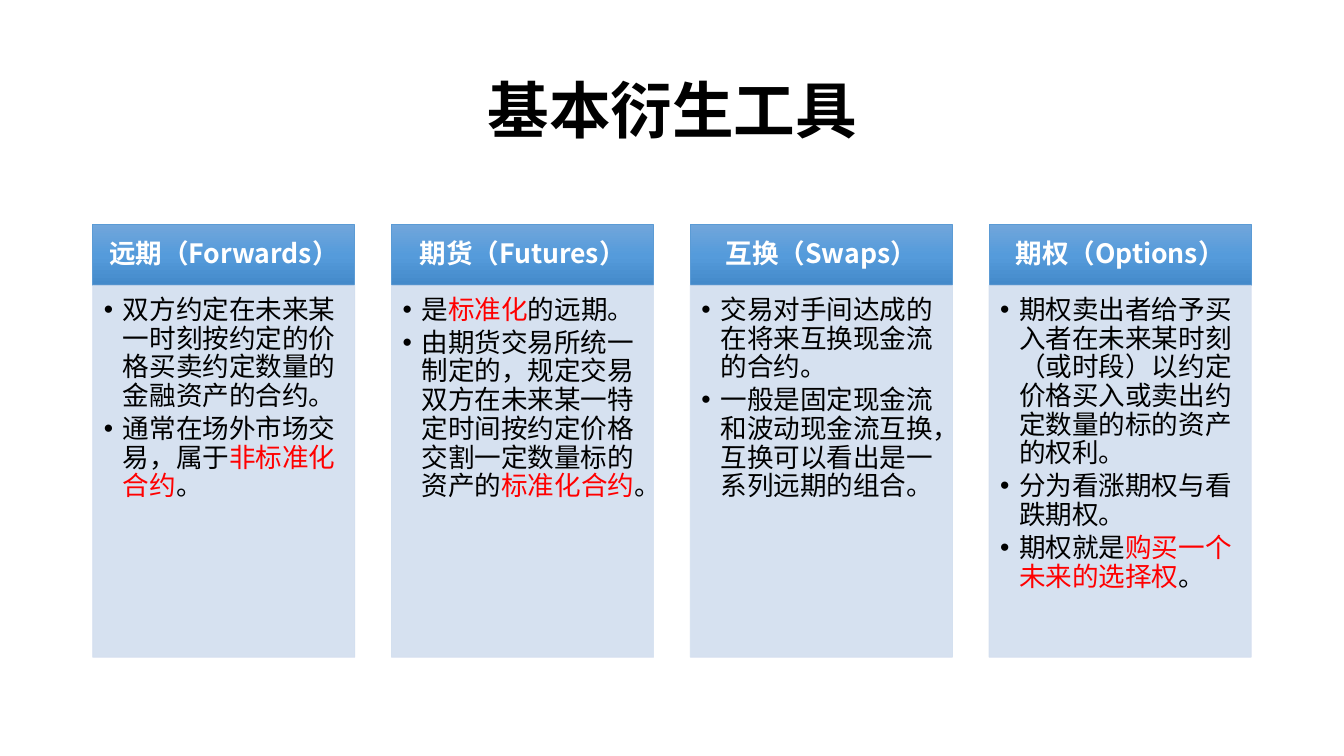
import copy

import pptx
import pptx.dml.color
import pptx.enum.shapes
import pptx.enum.text
import pptx.oxml.ns
import pptx.util
from lxml import etree

Inches = pptx.util.Inches
Pt = pptx.util.Pt
qn = pptx.oxml.ns.qn
ALIGN = pptx.enum.text.PP_ALIGN
ANCHOR = pptx.enum.text.MSO_ANCHOR

LEFT, RIGHT_CARD, CARD_WIDTH = 0.92, 9.81, 2.6
HEADER_TOP, HEADER_HEIGHT, BODY_HEIGHT = 2.23, 0.6, 3.69
HEADER_STOPS = [(0, "71A6DB"), (0.5, "559BDB"), (1, "448ACA")]
TITLE = "基本衍生工具"
CARDS = [
    ("远期（Forwards）", [
        "双方约定在未来某一时刻按约定的价格买卖约定数量的金融资产的合约。",
        "通常在场外市场交易，属于|非标准化合约|。"]),
    ("期货（Futures）", [
        "是|标准化|的远期。",
        "由期货交易所统一制定的，规定交易双方在未来某一特定时间按约定价格交割一定数量标的资产的|标准化合约|。"]),
    ("互换（Swaps）", [
        "交易对手间达成的在将来互换现金流的合约。",
        "一般是固定现金流和波动现金流互换，互换可以看出是一系列远期的组合。"]),
    ("期权（Options）", [
        "期权卖出者给予买入者在未来某时刻（或时段）以约定价格买入或卖出约定数量的标的资产的权利。",
        "分为看涨期权与看跌期权。",
        "期权就是|购买一个未来的选择权|。"]),
]


def color(value):
    return pptx.dml.color.RGBColor.from_string(value)


def set_values(target, values):
    for name, value in values.items():
        setattr(target, name, value)


class SlideBuilder:
    font_name = "Noto Sans CJK SC"
    text_size = 19
    highlight = "FF0000"

    def __init__(self, slide):
        self.slide = slide

    def rectangle(self, left, top, width, height, line_color):
        shape = self.slide.shapes.add_shape(
            pptx.enum.shapes.MSO_SHAPE.RECTANGLE,
            Inches(left), Inches(top), Inches(width), Inches(height))
        shape.shadow.inherit = False
        shape.line.color.rgb = color(line_color)
        shape.line.width = Pt(0.5)
        return shape

    def frame(self, shape, anchor, margins):
        left, top, right, bottom = map(Inches, margins)
        set_values(shape.text_frame, {
            "word_wrap": True, "vertical_anchor": anchor,
            "margin_left": left, "margin_top": top,
            "margin_right": right, "margin_bottom": bottom})
        return shape.text_frame

    def add_text(self, paragraph, text, size, text_color, bold, align):
        set_values(paragraph, {"alignment": align, "line_spacing": 0.9})
        for index, part in enumerate(text.split("|")):
            run = paragraph.add_run()
            run.text = part
            set_values(run.font, {"name": self.font_name, "size": Pt(size), "bold": bold})
            run.font.color.rgb = color(self.highlight if index % 2 else text_color)
            east_asian = etree.SubElement(run.font._element, qn("a:ea"))
            east_asian.set("typeface", self.font_name)

    def title(self, text, left, top, width, height):
        box = self.slide.shapes.add_textbox(
            Inches(left), Inches(top), Inches(width), Inches(height))
        frame = self.frame(box, ANCHOR.MIDDLE, (0.1, 0.05, 0.1, 0.05))
        self.add_text(frame.paragraphs[0], text, 44, "000000", True, ALIGN.CENTER)

    def header(self, text, left):
        shape = self.rectangle(left, HEADER_TOP, CARD_WIDTH, HEADER_HEIGHT, "5B9BD5")
        shape.fill.gradient()
        shape.fill.gradient_angle = 270
        stop_list = shape._element.spPr.find(".//" + qn("a:gsLst"))
        stop_list.append(copy.deepcopy(stop_list[0]))
        for stop, (position, value) in zip(shape.fill.gradient_stops, HEADER_STOPS):
            stop.position = position
            stop.color.rgb = color(value)
        frame = self.frame(shape, ANCHOR.MIDDLE, (0.15, 0.08, 0.15, 0.08))
        self.add_text(frame.paragraphs[0], text, self.text_size, "FFFFFF", True, ALIGN.CENTER)

    def body(self, points, left):
        shape = self.rectangle(
            left, HEADER_TOP + HEADER_HEIGHT, CARD_WIDTH, BODY_HEIGHT, "D2DEEF")
        shape.fill.solid()
        shape.fill.fore_color.rgb = color("D2DEEF")
        for element in shape._element.spPr.iter(qn("a:srgbClr")):
            etree.SubElement(element, qn("a:alpha")).set("val", "90000")
        frame = self.frame(shape, ANCHOR.TOP, (0.11, 0.11, 0.15, 0.17))
        for index, text in enumerate(points):
            paragraph = frame.add_paragraph() if index else frame.paragraphs[0]
            self.add_text(paragraph, text, self.text_size, "000000", False, ALIGN.LEFT)
            paragraph.space_after = Pt(3)
            self.bullet(paragraph)

    def bullet(self, paragraph):
        properties = paragraph._p.get_or_add_pPr()
        properties.set("marL", str(Inches(0.19)))
        properties.set("indent", str(-Inches(0.19)))
        etree.SubElement(properties, qn("a:buFont")).set("typeface", "Arial")
        etree.SubElement(properties, qn("a:buChar")).set("char", "•")


def main():
    presentation = pptx.Presentation()
    set_values(presentation, {"slide_width": Inches(13.33), "slide_height": Inches(7.5)})
    builder = SlideBuilder(presentation.slides.add_slide(presentation.slide_layouts[6]))
    builder.title(TITLE, LEFT, 0.4, 11.5, 1.45)
    pitch = (RIGHT_CARD - LEFT) / (len(CARDS) - 1)
    for index, (heading, points) in enumerate(CARDS):
        left = LEFT + index * pitch
        builder.header(heading, left)
        builder.body(points, left)
    presentation.save("out.pptx")


if __name__ == "__main__":
    main()
